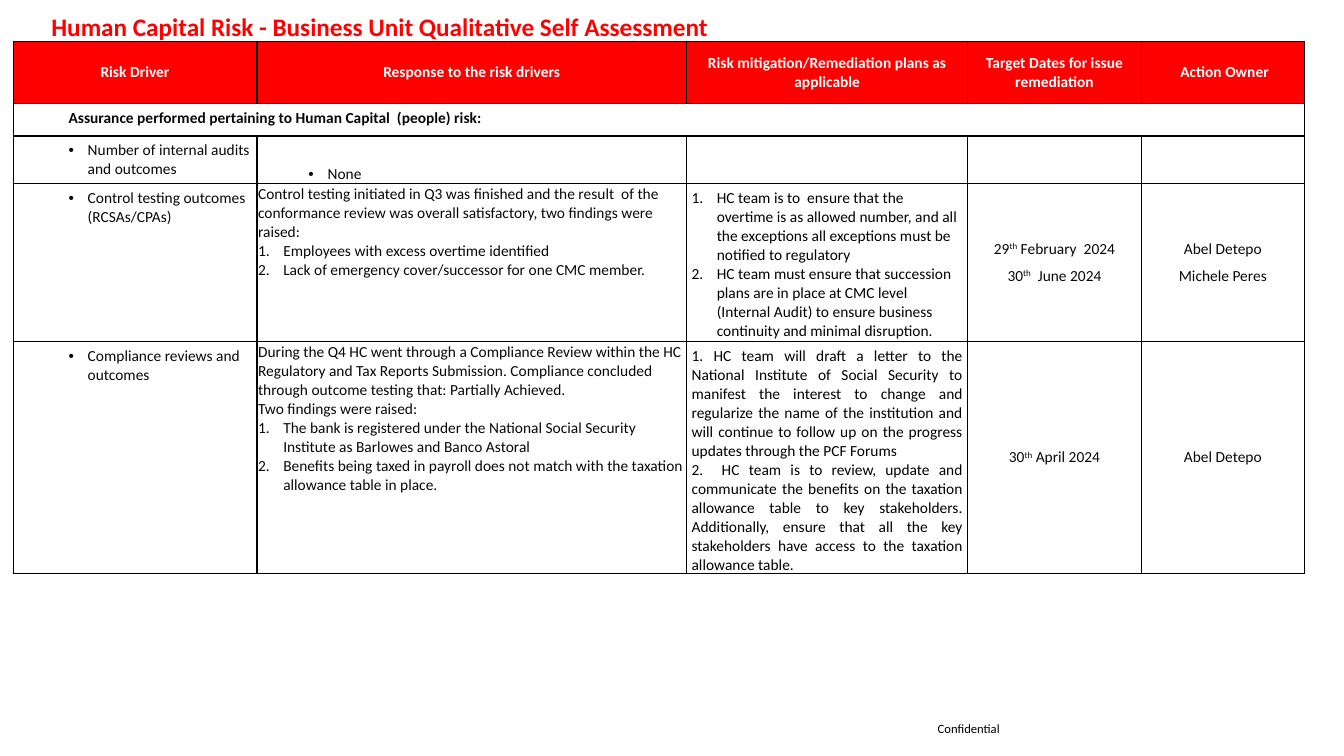
import pptx
import pptx.util
import pptx.dml.color
import pptx.enum.text
import pptx.oxml.ns
from lxml import etree

Inches, Pt = pptx.util.Inches, pptx.util.Pt
ALIGN = pptx.enum.text.PP_ALIGN
ANCHOR = pptx.enum.text.MSO_ANCHOR
COLORS = {"red": "FF0000", "white": "FFFFFF", "black": "000000", "ink": "080808"}
FONT = "Calibri"

WIDTHS = [2.42, 4.26, 2.79, 1.72, 1.62]
HEIGHTS = [0.62, 0.32, 0.47, 1.57, 2.3]

# Style: alignment, space around, left margin, indent, bullet
STYLES = {
    "plain": (ALIGN.LEFT, 0, 0, 0, None),
    "just": (ALIGN.JUSTIFY, 0, 0, 0, None),
    "head": (ALIGN.CENTER, 0, 0, 0, None),
    "mid": (ALIGN.CENTER, 3, 0, 0, None),
    "deep": (ALIGN.LEFT, 0, 0.5, 0, None),
    "dot": (ALIGN.LEFT, 0, 0.69, -0.19, "dot"),
    "num": (ALIGN.LEFT, 0, 0.25, -0.25, "num"),
}

HEADS = ["Risk Driver", "Response to the risk drivers",
         "Risk mitigation/Remediation plans as applicable",
         "Target Dates for issue remediation", " Action Owner"]
SECTION = "Assurance performed pertaining to Human Capital  (people) risk:"

# Each cell is a list of (style, text); text between ^ marks is raised
ROWS = [
    [[("dot", "Number of internal audits and outcomes")],
     [("dot", "None")], [], [], []],
    [[("dot", "Control testing outcomes (RCSAs/CPAs)")],
     [("plain", "Control testing initiated in Q3 was finished and the result  of the "
       "conformance review was overall satisfactory, two findings were raised:"),
      ("num", "Employees with excess overtime identified"),
      ("num", "Lack of emergency cover/successor for one CMC member.")],
     [("num", "HC team is to  ensure that the overtime is as allowed number, and all "
       "the exceptions all exceptions must be notified to regulatory"),
      ("num", "HC team must ensure that succession plans are in place at CMC level "
       "(Internal Audit) to ensure business continuity and minimal disruption.")],
     [("mid", "29^th^ February  2024"), ("mid", "30^th^  June 2024")],
     [("mid", "Abel Detepo"), ("mid", "Michele Peres")]],
    [[("dot", "Compliance reviews and outcomes")],
     [("plain", "During the Q4 HC went through a Compliance Review within the HC "
       "Regulatory and Tax Reports Submission. Compliance concluded through "
       "outcome testing that: Partially Achieved."),
      ("plain", "Two findings were raised:"),
      ("num", "The bank is registered under the National Social Security Institute "
       "as Barlowes and Banco Astoral"),
      ("num", "Benefits being taxed in payroll does not match with the taxation "
       "allowance table in place.")],
     [("just", "1. HC team will draft a letter to the National Institute of Social "
       "Security to manifest the interest to change and regularize the name of the "
       "institution and will continue to follow up on the progress updates through "
       "the PCF Forums"),
      ("just", "2.  HC team is to review, update and communicate the benefits on the "
       "taxation allowance table to key stakeholders. Additionally, ensure that all "
       "the key stakeholders have access to the taxation allowance table.")],
     [("mid", "30^th^ April 2024")],
     [("mid", "Abel Detepo")]],
]


def add_tag(parent, name, **attrs):
    return etree.SubElement(parent, pptx.oxml.ns.qn(name), **attrs)


def add_run(para, text, size, color, bold=False):
    run = para.add_run()
    run.text = text
    font = run.font
    font.name, font.size, font.bold = FONT, Pt(size), bold
    font.color.rgb = pptx.dml.color.RGBColor.from_string(COLORS[color])
    return run


def add_para(para, style, text, color, bold):
    align, space, left, indent, bullet = STYLES[style]
    props = para._p.get_or_add_pPr()
    props.set("marL", str(Inches(left)))
    props.set("indent", str(Inches(indent)))
    if bullet == "dot":
        add_tag(props, "a:buFont", typeface="Arial")
        add_tag(props, "a:buChar", char="•")
    elif bullet == "num":
        add_tag(props, "a:buFont", typeface="+mj-lt")
        add_tag(props, "a:buAutoNum", type="arabicPeriod")
    para.alignment = align
    if space:
        para.space_before = para.space_after = Pt(space)
    for place, part in enumerate(text.split("^")):
        run = add_run(para, part, 11, color, bold)
        if place % 2:
            run._r.get_or_add_rPr().set("baseline", "30000")


def fill_cell(cell, paras, color="ink", bold=False, fill="white",
              anchor=ANCHOR.TOP, inset=0.05):
    cell.margin_left = cell.margin_right = cell.margin_top = Inches(inset)
    cell.margin_bottom = Inches(inset if inset > 0.01 else 0)
    cell.vertical_anchor = anchor
    props = cell._tc.get_or_add_tcPr()
    for side in "LRTB":
        line = add_tag(props, "a:ln" + side, w=str(Pt(1)))
        add_tag(add_tag(line, "a:solidFill"), "a:srgbClr", val=COLORS["black"])
    cell.fill.solid()
    cell.fill.fore_color.rgb = pptx.dml.color.RGBColor.from_string(COLORS[fill])
    frame = cell.text_frame
    for place, (style, text) in enumerate(paras):
        para = frame.add_paragraph() if place else frame.paragraphs[0]
        add_para(para, style, text, color, bold)
    if not paras:
        add_tag(frame.paragraphs[0]._p, "a:endParaRPr", sz="1100")


def add_grid(slide, left, top):
    frame = slide.shapes.add_table(len(HEIGHTS), len(WIDTHS), Inches(left), Inches(top),
                                   Inches(sum(WIDTHS)), Inches(sum(HEIGHTS)))
    table = frame.table
    table.first_row = table.horz_banding = False
    for col, width in zip(table.columns, WIDTHS):
        col.width = Inches(width)
    for row, height in zip(table.rows, HEIGHTS):
        row.height = Inches(height)
    for col, text in enumerate(HEADS):
        style = "mid" if col > 2 else "head"
        fill_cell(table.cell(0, col), [(style, text)], "white", True, "red", ANCHOR.MIDDLE)
        fill_cell(table.cell(1, col), [] if col else [("deep", SECTION)], bold=True)
    table.cell(1, 0).merge(table.cell(1, len(WIDTHS) - 1))
    for row, cells in enumerate(ROWS, 2):
        for col, paras in enumerate(cells):
            anchor = ANCHOR.MIDDLE if col > 1 else ANCHOR.TOP
            if row == 2 and col == 1:
                anchor = ANCHOR.BOTTOM
            fill_cell(table.cell(row, col), paras, "black" if col == 2 else "ink",
                      anchor=anchor, inset=0.01 if col == 1 else 0.05)


def add_label(slide, box, text, size, color, bold=False, anchor=ANCHOR.TOP):
    frame = slide.shapes.add_textbox(*map(Inches, box)).text_frame
    frame.word_wrap = True
    frame.margin_left = frame.margin_right = frame.margin_top = frame.margin_bottom = 0
    frame.vertical_anchor = anchor
    add_run(frame.paragraphs[0], text, size, color, bold)


def main():
    deck = pptx.Presentation()
    deck.slide_width, deck.slide_height = Inches(13.33), Inches(7.5)
    slide = deck.slides.add_slide(deck.slide_layouts[6])
    add_label(slide, (9.3, 7.15, 5.28, 0.15), "Confidential", 9, "black")
    add_grid(slide, 0.13, 0.41)
    add_label(slide, (0.51, 0.11, 12.44, 0.3),
              "Human Capital Risk - Business Unit Qualitative Self Assessment",
              18, "red", True, ANCHOR.MIDDLE)
    deck.save("out.pptx")


if __name__ == "__main__":
    main()
